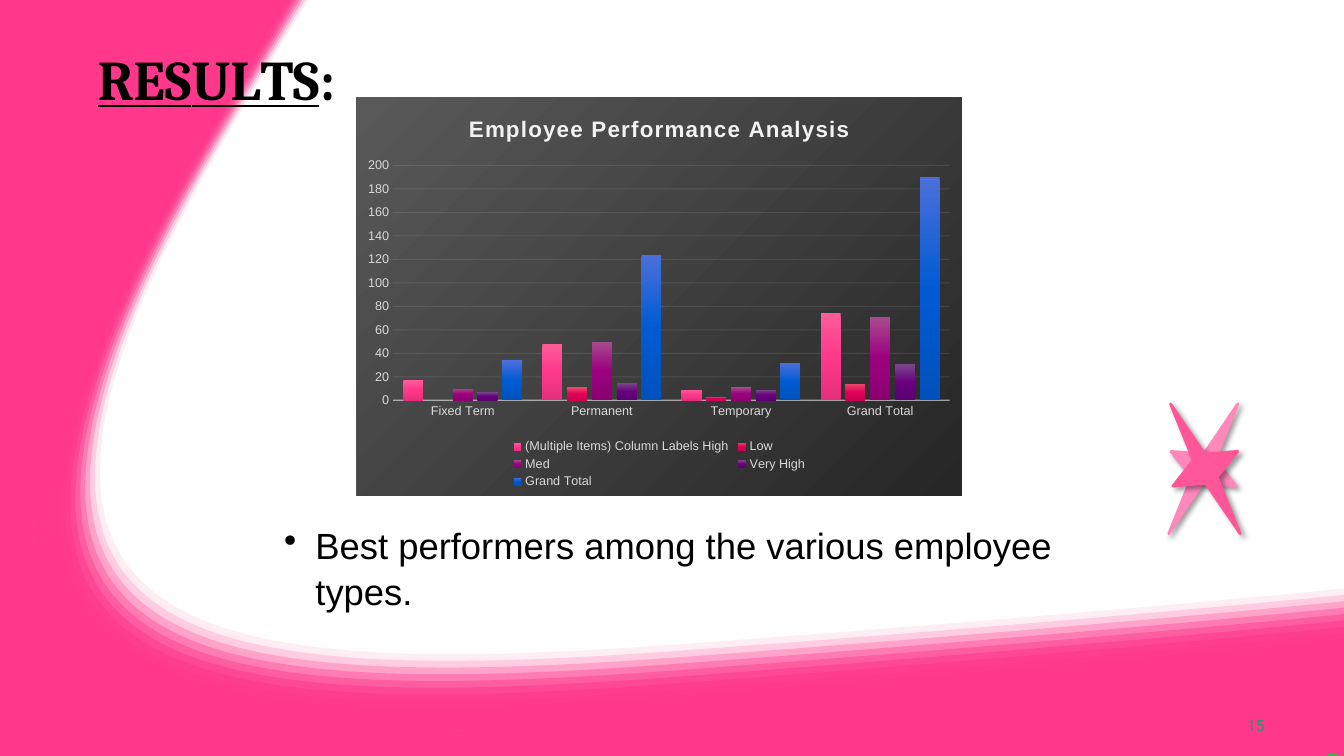
from pptx import Presentation
from pptx import util as u
from pptx.chart.data import CategoryChartData
from pptx.dml.color import RGBColor
from pptx.enum import chart as ch, shapes, text
from pptx.oxml import parse_xml
from pptx.oxml.ns import nsdecls, qn

WIDTH, HEIGHT = 13.33, 7.5  # layout figures are inches; inch() turns them into Cm
PINK = "FF388C"
BANDS = 11
# Bezier chains running from the top edge to the right edge
OUTER = [(2.65, 0), (2.65, 0), (2.4, 0.41), (1.96, 1.15), (-1.62, 7.12),
         (1.06, 7.55), (6.55, 7.14), (10.75, 6.82), (13.33, 6.56), (13.33, 6.56)]
INNER_FIRST = [(3.06, 0), (3.05, 0.01), (2.81, 0.4), (2.4, 1.09), (-0.73, 6.32),
               (1.61, 6.78), (6.9, 6.38), (10.85, 6.09), (13.31, 5.84), (13.33, 5.84)]
INNER_LAST = [(2.77, 0), (2.71, 0.11), (2.48, 0.52), (2.11, 1.14), (-1.42, 7.03),
              (1.22, 7.45), (6.64, 7.04), (10.48, 6.75), (12.99, 6.51), (13.33, 6.47)]
CORNERS = [(WIDTH, 0), (WIDTH, HEIGHT), (0, HEIGHT), (0, 0)]

TITLE = [("R", 0), ("E", -0.4), ("S", 0.1), ("U", -0.3), ("L", -4), ("TS", 0), (":", 0)]
FINDING = "Best performers among the various employee types."
PAGE = "15"
STARS = [(11.57, 28, "FF88BA"), (11.59, 331.8, "FF5698")]

CHART_TITLE = "Employee Performance Analysis"
CONTRACTS = ["Fixed Term", "Permanent", "Temporary", "Grand Total"]
RATINGS = [
    ("(Multiple Items) Column Labels High", (17, 48, 9, 74), ("FF5C99", PINK, "E52F7C")),
    ("Low", (None, 11, 3, 14), ("EA4B6F", "E40059", "CB004F")),
    ("Med", (10, 50, 11, 71), ("A74B8D", "9C007F", "8B0071")),
    ("Very High", (7, 15, 9, 31), ("7A4B8D", "68007F", "5C0071")),
    ("Grand Total", (34, 124, 32, 190), ("4B70DA", "005BD3", "0051BC")),
]


def inch(n):
    return u.Cm(n * 2.54)


def box(*lengths):
    return [inch(n) for n in lengths]


def rgb(value):
    return RGBColor.from_string(value)


def set_font(font, size, color, name="Arial", bold=False):
    font.size, font.name, font.bold = u.Pt(size), name, bold
    font.color.rgb = rgb(color)


def set_alpha(el, percent):
    """Make every colour inside the element partly transparent."""
    for clr in el.iter(qn("a:srgbClr")):
        clr.append(parse_xml(f'<a:alpha {nsdecls("a")} val="{round(percent * 1000)}"/>'))


def gradient(colors, direction):
    step = 100000 // (len(colors) - 1)
    stops = "".join(f'<a:gs pos="{i * step}"><a:srgbClr val="{c}"/></a:gs>'
                    for i, c in enumerate(colors))
    return (f'<a:gradFill {nsdecls("a")} rotWithShape="1"><a:gsLst>{stops}</a:gsLst>'
            f'{direction}</a:gradFill>')


def set_layout(el, x, y, w, h, inner=False):
    """Place a chart part by fractions of the chart."""
    for old in el.findall(qn("c:layout")):
        el.remove(old)
    target = '<c:layoutTarget val="inner"/>' if inner else ""
    sizes = "".join(f'<c:{k} val="{v}"/>' for k, v in zip("xywh", (x, y, w, h)))
    layout = parse_xml(f'<c:layout {nsdecls("c")}><c:manualLayout>{target}'
                       '<c:xMode val="edge"/><c:yMode val="edge"/>'
                       f'{sizes}</c:manualLayout></c:layout>')
    before = el.find(qn("c:legendPos"))
    if before is None:
        el.insert(0, layout)
    else:
        before.addnext(layout)


def paint(sp, color):
    sp.shadow.inherit = False
    sp.fill.solid()
    sp.fill.fore_color.rgb = rgb(color)
    sp.line.fill.background()


def segment(tag, points):
    pts = "".join(f'<a:pt x="{inch(x)}" y="{inch(y)}"/>' for x, y in points)
    return parse_xml(f'<a:{tag} {nsdecls("a")}>{pts}</a:{tag}>')


def curves(chain):
    return [segment("cubicBezTo", chain[i:i + 3]) for i in range(1, len(chain), 3)]


def add_wave(s, closing, alpha=100):
    """Fill between the outer curve and the closing segments, in slide coordinates."""
    builder = s.shapes.build_freeform(0, 0, scale=1.0)
    builder.add_line_segments([box(*p) for p in CORNERS], close=True)
    sp = builder.convert_to_shape()
    paint(sp, PINK)
    set_alpha(sp._element.spPr, alpha)
    outline = next(sp._element.iter(qn("a:path")))
    for el in list(outline):
        outline.remove(el)
    outline.extend([segment("moveTo", OUTER[:1]), *curves(OUTER), *closing, segment("close", [])])


def add_background(s):
    add_wave(s, [segment("lnTo", [p]) for p in CORNERS[1:]])
    for i in range(BANDS):
        t = i / (BANDS - 1)
        inner = [(a + (c - a) * t, b + (d - b) * t)
                 for (a, b), (c, d) in zip(INNER_FIRST, INNER_LAST)][::-1]
        add_wave(s, [segment("lnTo", inner[:1]), *curves(inner)], 100 * (i + 1) / BANDS)
    paint(s.shapes.add_shape(shapes.MSO_SHAPE.RECTANGLE, *box(13.17, 7.48, 0.1, 0.02)), "42AF51")


def add_text(s, place, insets=None):
    tf = s.shapes.add_textbox(*box(*place)).text_frame
    tf.word_wrap = True
    if insets:
        tf.margin_left, tf.margin_top, tf.margin_right, tf.margin_bottom = box(*insets)
    return tf.paragraphs[0]


def add_star(s, left, rotation, color):
    sp = s.shapes.add_shape(shapes.MSO_SHAPE.STAR_4_POINT, *box(left, 3.92, 0.73, 1.46))
    paint(sp, color)
    sp.adjustments[0] = 0.125
    sp.rotation = rotation
    sp.line.color.rgb = rgb(color)
    sp.line.width = u.Pt(2)
    shadow = parse_xml(f'<a:outerShdw {nsdecls("a")} blurRad="{u.Pt(4)}" dist="{u.Pt(3)}" '
                       'dir="2700000"><a:srgbClr val="000000"/></a:outerShdw>')
    set_alpha(shadow, 40)
    sp._element.spPr.find(qn("a:effectLst")).append(shadow)


def add_performance_chart(s):
    data = CategoryChartData()
    data.categories = CONTRACTS
    for name, values, _ in RATINGS:
        data.add_series(name, values)
    chart = s.shapes.add_chart(ch.XL_CHART_TYPE.COLUMN_CLUSTERED,
                               *box(3.54, 0.97, 6, 3.95), data).chart
    set_font(chart.font, 10, "000000")
    root = chart._chartSpace
    corner = '<a:path path="circle"><a:fillToRect r="100000" b="100000"/></a:path>'
    root.find(qn("c:chart")).addnext(parse_xml(
        f'<c:spPr {nsdecls("c", "a")}>{gradient(("595959", "262626"), corner)}'
        '<a:ln><a:noFill/></a:ln></c:spPr>'))

    chart.has_title = True
    chart.chart_title.text_frame.text = CHART_TITLE
    r = chart.chart_title.text_frame.paragraphs[0].runs[0]
    set_font(r.font, 16, "F2F2F2", bold=True)
    r._r.get_or_add_rPr().set("spc", "100")
    chart.chart_title.include_in_layout = False

    plot = chart.plots[0]
    plot.gap_width, plot.overlap, plot.vary_by_categories = 100, -23, False
    for series, (_, _, colors) in zip(plot.series, RATINGS):
        series.invert_if_negative = False
        series._element.get_or_add_spPr().append(
            parse_xml(gradient(colors, '<a:lin ang="5400000" scaled="0"/>')))

    cat, val = chart.category_axis, chart.value_axis
    val.minimum_scale, val.maximum_scale, val.major_unit = 0, 200, 20
    val.has_major_gridlines = True
    for line, width, alpha, axis in ((cat.format.line, 1, 54, cat),
                                     (val.major_gridlines.format.line, 0.75, 10, val)):
        line.color.rgb = rgb("F2F2F2")
        line.width = u.Pt(width)
        set_alpha(axis._element, alpha)
        axis.major_tick_mark = ch.XL_TICK_MARK.NONE
        set_font(axis.tick_labels.font, 9, "D9D9D9")
    val.format.line.fill.background()

    chart.has_legend = True
    chart.legend.position = ch.XL_LEGEND_POSITION.BOTTOM
    chart.legend.include_in_layout = False
    set_font(chart.legend.font, 9, "D9D9D9")
    set_layout(chart.legend._element, 0.25, 0.85, 0.5, 0.14)
    set_layout(root.find(".//" + qn("c:plotArea")), 0.06, 0.17, 0.92, 0.59, inner=True)


def main():
    prs = Presentation()
    prs.slide_width, prs.slide_height = box(WIDTH, HEIGHT)
    s = prs.slides.add_slide(prs.slide_layouts[6])
    add_background(s)

    p = add_text(s, (0.97, 0.32, 3.61, 1.71), (0, 0.12, 0, 0))
    for letters, spacing in TITLE:
        r = p.add_run()
        r.text = letters
        set_font(r.font, 40, "000000", "Cambria", bold=True)
        r.font.underline = letters != ":"
        r._r.get_or_add_rPr().set("spc", str(round(spacing * 100)))

    p = add_text(s, (12.33, 7.08, 0.25, 0.19), (0.04, 0.02, 0, 0))
    p.text = PAGE
    set_font(p.runs[0].font, 11, "2D936B", "Roboto")

    for star in STARS:
        add_star(s, *star)
    add_performance_chart(s)

    p = add_text(s, (2.72, 5.12, 8.29, 1.83))
    p.text = FINDING
    p.line_spacing = 1.05
    p.alignment = text.PP_ALIGN.LEFT
    set_font(p.runs[0].font, 26, "000000")
    props = p._p.get_or_add_pPr()
    props.set("marL", str(inch(0.31)))
    props.set("indent", str(-inch(0.31)))
    props.append(parse_xml(f'<a:buChar {nsdecls("a")} char="•"/>'))
    prs.save("out.pptx")


if __name__ == "__main__":
    main()
